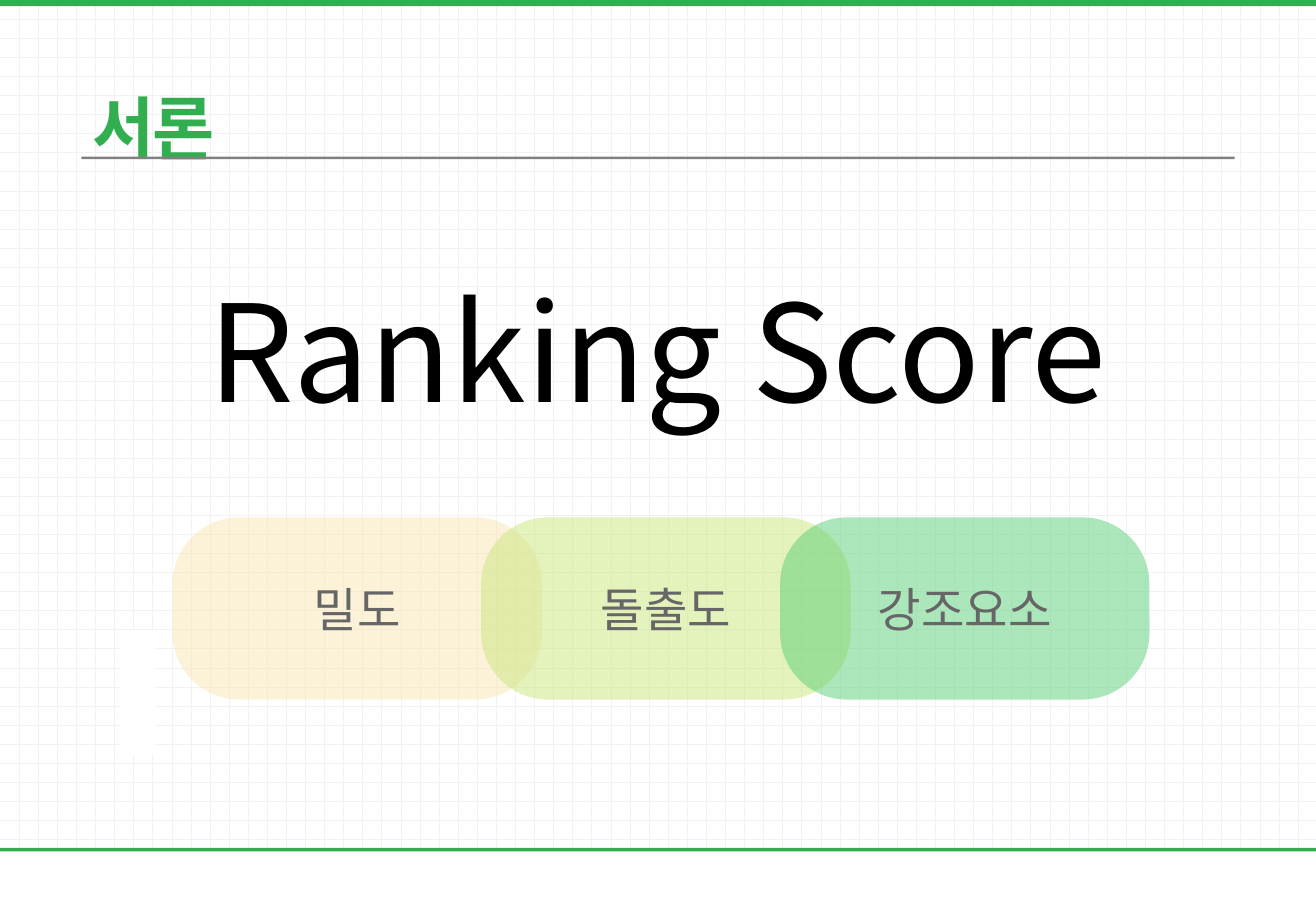
import pptx
import pptx.util
import pptx.dml.color
import pptx.enum.dml
import pptx.enum.shapes
import pptx.enum.text
import pptx.oxml
import pptx.oxml.ns

Inches = pptx.util.Inches
RGBColor = pptx.dml.color.RGBColor
SHAPES = pptx.enum.shapes.MSO_SHAPE
ALIGN = pptx.enum.text.PP_ALIGN
ANCHOR = pptx.enum.text.MSO_ANCHOR

WHITE = RGBColor(0xFF, 0xFF, 0xFF)
BLACK = RGBColor(0x00, 0x00, 0x00)
GREEN = RGBColor(0x32, 0xAE, 0x51)
RULE_GRAY = RGBColor(0x80, 0x80, 0x80)
LABEL_GRAY = RGBColor(0x66, 0x66, 0x66)
GRID_GRAY = RGBColor(0xF2, 0xF2, 0xF2)
CREAM = RGBColor(0xFB, 0xE6, 0xB3)
LIME = RGBColor(0xCA, 0xE6, 0x7B)
MINT = RGBColor(0x5B, 0xD0, 0x78)
FONT = "Noto Sans CJK KR"


def add_block(kind, left, top, width, height, color):
    shape = slide.shapes.add_shape(
        kind, Inches(left), Inches(top), Inches(width), Inches(height))
    shape.shadow.inherit = False
    shape.fill.solid()
    shape.fill.fore_color.rgb = color
    shape.line.fill.background()
    return shape


def write_text(shape, text, size, color, alignment, anchor, bold=False):
    frame = shape.text_frame
    frame.word_wrap = True
    frame.vertical_anchor = anchor
    paragraph = frame.paragraphs[0]
    paragraph.alignment = alignment
    run = paragraph.add_run()
    run.text = text
    font_format = {"name": FONT, "size": pptx.util.Pt(size), "bold": bold}
    for name, value in font_format.items():
        setattr(run.font, name, value)
    run.font.color.rgb = color
    # East Asian glyphs take their typeface from a:ea
    east_asian = pptx.oxml.parse_xml(
        f'<a:ea {pptx.oxml.ns.nsdecls("a")} typeface="{FONT}"/>')
    run.font._element.find(pptx.oxml.ns.qn("a:latin")).addnext(east_asian)
    return run


presentation = pptx.Presentation()
presentation.slide_width = Inches(10.83)
presentation.slide_height = Inches(7.5)
slide = presentation.slides.add_slide(presentation.slide_layouts[5])

# Grid background
background = slide.background.fill
background.patterned()
background.pattern = pptx.enum.dml.MSO_PATTERN.DOTTED_GRID
background.fore_color.rgb = GRID_GRAY
background.back_color.rgb = WHITE

# Heading
title = slide.shapes.title
title_box = {"left": 0.64, "top": -0.02, "width": 3.77, "height": 1.28}
for name, value in title_box.items():
    setattr(title, name, Inches(value))
title_margins = {"margin_left": 0.12, "margin_right": 0.12,
                 "margin_top": 0.06, "margin_bottom": 0.06}
for name, value in title_margins.items():
    setattr(title.text_frame, name, Inches(value))
title.text_frame.auto_size = pptx.enum.text.MSO_AUTO_SIZE.SHAPE_TO_FIT_TEXT
heading = write_text(title, "서론", 40, GREEN, ALIGN.LEFT, ANCHOR.TOP, bold=True)
heading.font._element.set("spc", "-100")
title.text_frame.paragraphs[0].line_spacing = 2.0
title.text_frame.paragraphs[0].space_before = pptx.util.Pt(6)

# White patches, green bands and heading rule
for kind, left, top, width, height, color in [
    (SHAPES.RECTANGLE, 0.99, 5.19, 0.28, 1.02, WHITE),
    (SHAPES.RECTANGLE, 0, 6.98, 10.83, 0.52, WHITE),
    (SHAPES.RECTANGLE, 0, 0, 10.88, 0.05, GREEN),
    (SHAPES.RECTANGLE, 0, 6.98, 10.88, 0.03, GREEN),
    (SHAPES.ROUNDED_RECTANGLE, 0.67, 1.29, 9.49, 0.02, RULE_GRAY),
]:
    add_block(kind, left, top, width, height, color)

# Overlapping score factors
for left, label, color in [
    (1.42, "밀도", CREAM), (3.96, "돌출도", LIME), (6.42, "강조요소", MINT),
]:
    factor = add_block(SHAPES.ROUNDED_RECTANGLE, left, 4.26, 3.04, 1.5, color)
    factor.adjustments[0] = 0.367
    fill_color = factor._element.spPr.find(".//" + pptx.oxml.ns.qn("a:srgbClr"))
    fill_color.append(pptx.oxml.parse_xml(
        f'<a:alpha {pptx.oxml.ns.nsdecls("a")} val="50000"/>'))
    write_text(factor, label, 28, LABEL_GRAY, ALIGN.CENTER, ANCHOR.MIDDLE)

# Main message
message = slide.shapes.add_textbox(
    Inches(1.17), Inches(2.15), Inches(8.48), Inches(1.45))
write_text(message, "Ranking Score", 80, BLACK, ALIGN.CENTER, ANCHOR.TOP)
message.text_frame.auto_size = pptx.enum.text.MSO_AUTO_SIZE.SHAPE_TO_FIT_TEXT

presentation.save("out.pptx")
